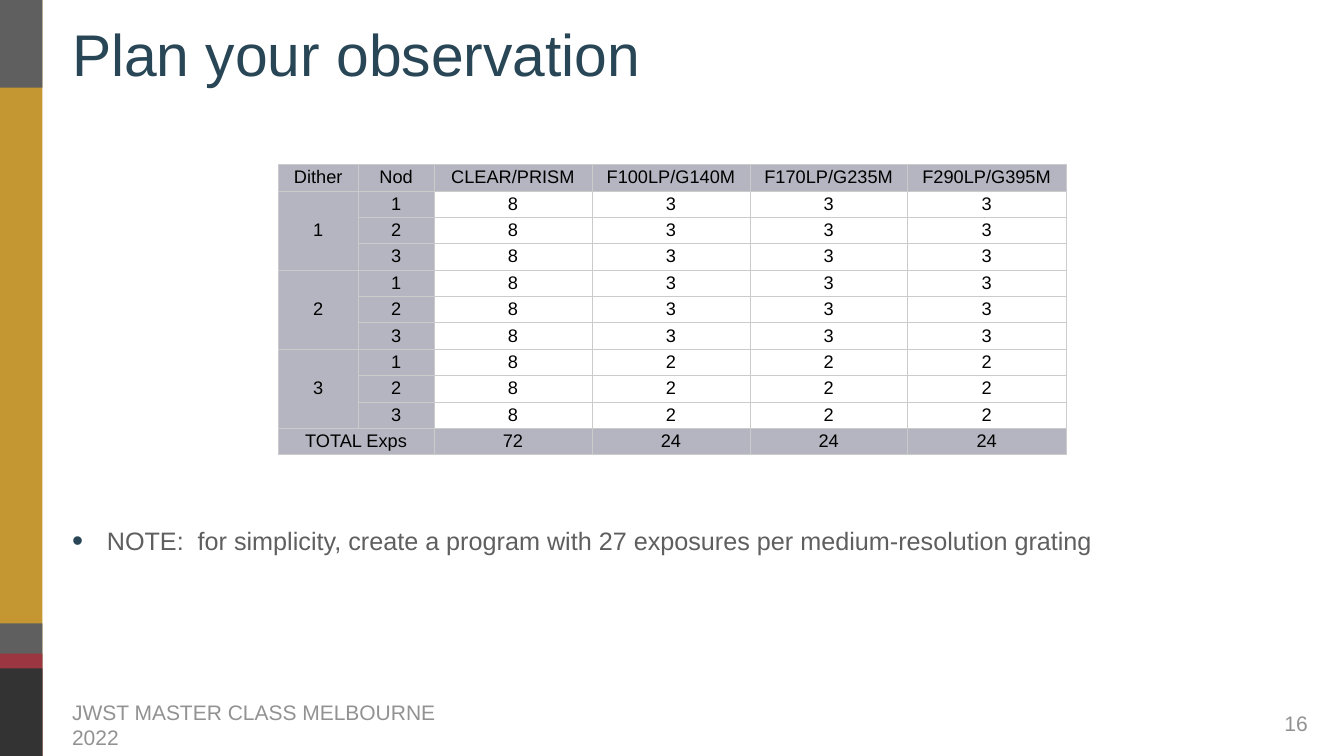
from pptx import Presentation, util as u
from pptx.dml.color import RGBColor
from pptx.enum import shapes, text
from pptx.oxml import parse_xml
from pptx.oxml.ns import nsdecls

SCALE = 9144
COLORS = {
    "gold": "C49732", "gray": "5F5F5F", "red": "9C3742", "dark": "333333",
    "navy": "284655", "muted": "929292", "black": "000000",
    "header": "B5B5C1", "white": "FFFFFF", "border": "CBCBCB",
}
LEFT, MIDDLE = text.PP_ALIGN.LEFT, text.MSO_ANCHOR.MIDDLE
CENTER, TOP = text.PP_ALIGN.CENTER, text.MSO_ANCHOR.TOP


def px(value):
    return u.Emu(round(value * SCALE))


def rgb(name):
    return RGBColor.from_string(COLORS[name])


def write(tf, content, size, color, font="Arial", align=LEFT):
    p = tf.paragraphs[0]
    p.alignment = align
    r = p.add_run()
    r.text = content
    r.font.name, r.font.size = font, u.Pt(size)
    r.font.color.rgb = rgb(color)
    return p


class Deck:
    """Hold the table style and the current slide, and draw elements on it."""

    border_width = u.Pt(0.5)
    cell_size = 26
    inset = 6

    def __init__(self, slide):
        self.s = slide

    def bar(self, top, height, color):
        sp = self.s.shapes.add_shape(
            shapes.MSO_SHAPE.RECTANGLE, px(-1), px(top), px(85), px(height))
        sp.shadow.inherit = False
        sp.fill.solid()
        sp.fill.fore_color.rgb = rgb(color)
        sp.line.fill.background()

    def label(self, box, content, size, color, align=LEFT, anchor=TOP, wrap=True):
        tf = self.s.shapes.add_textbox(*map(px, box)).text_frame
        tf.word_wrap, tf.vertical_anchor = wrap, anchor
        tf.margin_left = tf.margin_right = px(self.inset)
        tf.margin_top = tf.margin_bottom = px(self.inset)
        return write(tf, content, size, color, align=align)

    def bullet(self, box, content, size, color, bullet_color, indent):
        p_pr = self.label(box, content, size, color)._p.get_or_add_pPr()
        p_pr.set("marL", str(px(indent)))
        p_pr.set("indent", str(px(-indent)))
        for xml in (
            f'<a:buClr {nsdecls("a")}><a:srgbClr val="{COLORS[bullet_color]}"/></a:buClr>',
            f'<a:buSzPct {nsdecls("a")} val="125000"/>',
            f'<a:buFont {nsdecls("a")} typeface="Arial"/>',
            f'<a:buChar {nsdecls("a")} char="•"/>',
        ):
            p_pr.append(parse_xml(xml))

    def cell(self, cell, content, fill):
        cell.vertical_anchor = MIDDLE
        cell.margin_left = cell.margin_right = px(7)
        cell.margin_top = cell.margin_bottom = 0
        for side in "LRTB":
            cell._tc.get_or_add_tcPr().append(parse_xml(
                f'<a:ln{side} {nsdecls("a")} w="{self.border_width}"><a:solidFill>'
                f'<a:srgbClr val="{COLORS["border"]}"/></a:solidFill></a:ln{side}>'))
        cell.fill.solid()
        cell.fill.fore_color.rgb = rgb(fill)
        write(cell.text_frame, content, self.cell_size, "black", align=CENTER)

    def table(self, left, top, height, widths, rows, merges):
        table = self.s.shapes.add_table(
            len(rows), len(widths), px(left), px(top), px(sum(widths)), px(height)).table
        table.first_row = table.horz_banding = False
        for column, width in zip(table.columns, widths):
            column.width = px(width)
        for i, row in enumerate(rows):
            table.rows[i].height = px(height / len(rows))
            for j, content in enumerate(row):
                shaded = i in (0, len(rows) - 1) or j < 2
                self.cell(table.cell(i, j), content, "header" if shaded else "white")
        for first, last in merges:
            table.cell(*first).merge(table.cell(*last))


def main():
    prs = Presentation()
    prs.slide_width, prs.slide_height = px(2667), px(1500)
    deck = Deck(prs.slides.add_slide(prs.slide_layouts[6]))

    for top, bottom, color in (
        (0, 1500, "gold"), (1237, 1500, "gray"), (1297, 1500, "red"),
        (1326, 1500, "dark"), (0, 174, "gray"),
    ):
        deck.bar(top, bottom - top, color)

    deck.label((137, 1407, 830, 62), "JWST MASTER CLASS MELBOURNE 2022",
               30, "muted", anchor=MIDDLE)
    deck.label((2541, 1404, 62, 68), "16", 30, "muted", align=CENTER, wrap=False)
    deck.bullet((137, 1036, 2112, 195),
                "NOTE:  for simplicity, create a program with 27 exposures "
                "per medium-resolution grating", 36, "gray", "navy", 69)
    deck.label((137, 19, 2112, 174), "Plan your observation", 84, "navy", anchor=MIDDLE)

    rows = [["Dither", "Nod", "CLEAR/PRISM", "F100LP/G140M", "F170LP/G235M", "F290LP/G395M"]]
    for dither, exposures in (("1", "3"), ("2", "3"), ("3", "2")):
        for nod in "123":
            rows.append([dither if nod == "1" else "", nod, "8"] + [exposures] * 3)
    rows.append(["TOTAL Exps", "", "72", "24", "24", "24"])
    merges = [((i, 0), (i + 2, 0)) for i in (1, 4, 7)] + [((10, 0), (10, 1))]
    deck.table(552, 326, 576, (159, 150, 314, 313, 313, 314), rows, merges)

    prs.save("out.pptx")


if __name__ == "__main__":
    main()
